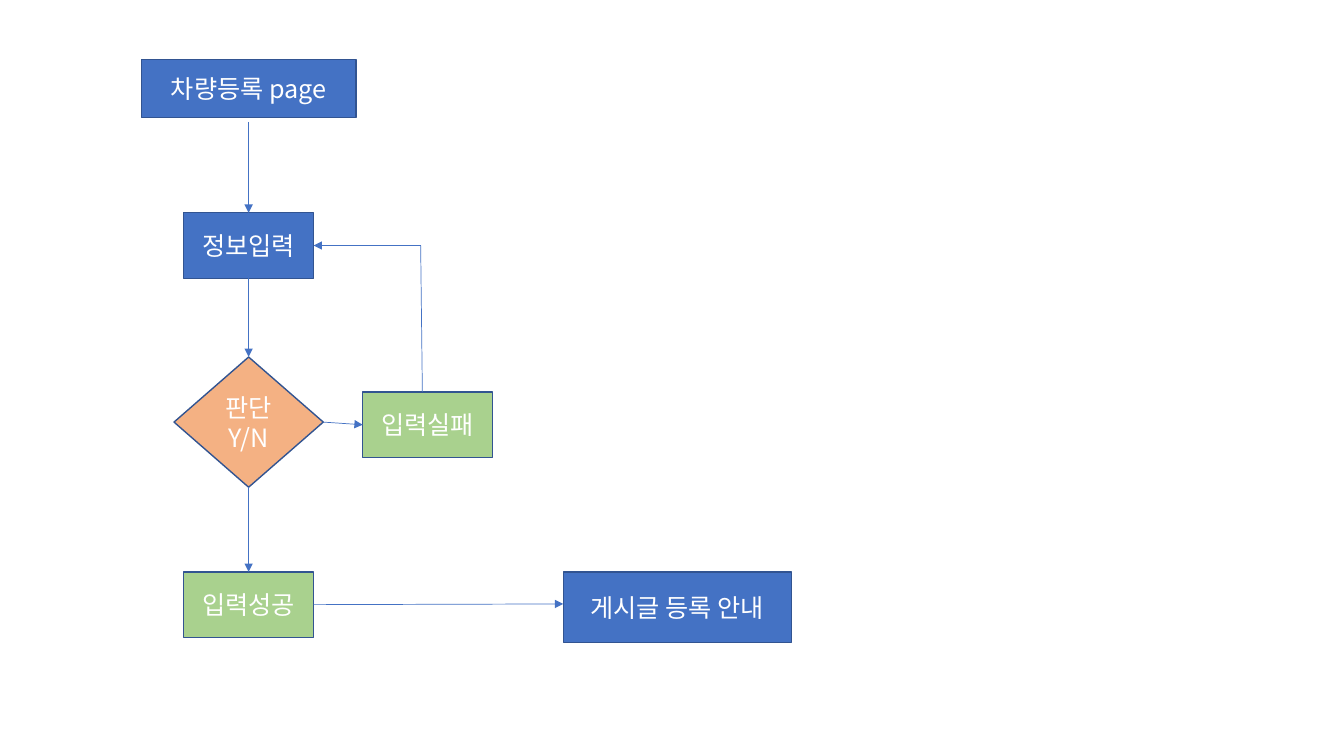
from lxml import etree
from pptx import Presentation
from pptx import util as u
from pptx.dml import color
from pptx.enum import shapes, text
from pptx.oxml import ns

BLUE, GREEN, PEACH = "4472C4", "A9D18E", "F4B183"
EDGE, WHITE = "325491", "FFFFFF"


def paint(tint, code):
    tint.rgb = color.RGBColor.from_string(code)


class Flow:
    font = "Noto Sans CJK KR"
    size = 18

    def __init__(self, slide):
        self.slide = slide

    def node(self, mid, top, wide, high, fill, lines,
             kind=shapes.MSO_SHAPE.RECTANGLE):
        box = self.slide.shapes.add_shape(
            kind, u.Pt(mid - wide / 2), u.Pt(top), u.Pt(wide), u.Pt(high))
        box.shadow.inherit = False
        box.fill.solid()
        paint(box.fill.fore_color, fill)
        paint(box.line.color, EDGE)
        box.line.width = u.Pt(1)
        frame = box.text_frame
        frame.word_wrap = True
        frame.vertical_anchor = text.MSO_ANCHOR.MIDDLE
        for i, line in enumerate(lines):
            para = frame.add_paragraph() if i else frame.paragraphs[0]
            para.alignment = text.PP_ALIGN.CENTER
            self.run(para, line)
        return box

    def run(self, para, words):
        run = para.add_run()
        run.text = words
        run.font.size = u.Pt(self.size)
        run.font.name = self.font
        paint(run.font.color, WHITE)
        east = etree.SubElement(run.font._element, ns.qn("a:ea"))
        east.set("typeface", self.font)

    def line(self, start, end, arrow=True):
        link = self.slide.shapes.add_connector(
            shapes.MSO_CONNECTOR.STRAIGHT, *map(u.Pt, (*start, *end)))
        paint(link.line.color, BLUE)
        link.line.width = u.Pt(0.5)
        if arrow:
            tip = etree.SubElement(link.line._get_or_add_ln(), ns.qn("a:tailEnd"))
            tip.set("type", "triangle")
        etree.SubElement(link._element.spPr, ns.qn("a:effectLst"))


def main():
    deck = Presentation()
    deck.slide_width, deck.slide_height = u.Pt(960), u.Pt(540)
    flow = Flow(deck.slides.add_slide(deck.slide_layouts[6]))

    mid, wide, high = 177.6, 92.8, 46.8
    side = mid + wide / 2
    entry, check, done = 152, 255, 408.5
    tall, span = 93, 106.6
    fail, ftop = 305.5, 280
    bend, back = 300.5, entry + high / 2
    nmid, nwide = 483.8, 162.8
    out = done + high / 2

    flow.node(mid, 42.5, 153.4, 41.4, BLUE, ["차량등록 page"])
    flow.node(mid, entry, wide, high, BLUE, ["정보입력"])
    flow.node(mid, check, span, tall, PEACH, ["판단", "Y/N"],
              shapes.MSO_SHAPE.FLOWCHART_DECISION)
    flow.node(mid, done, wide, high, GREEN, ["입력성공"])
    flow.node(fail, ftop, wide, high, GREEN, ["입력실패"])
    flow.node(nmid, done, nwide, 50.4, BLUE, ["게시글 등록 안내"])

    for start, end in ((87.1, entry), (entry + high, check), (check + tall, done)):
        flow.line((mid, start), (mid, end))
    flow.line((mid + span / 2, check + tall / 2), (fail - wide / 2, ftop + high / 2))
    flow.line((bend, back), (bend + 1.2, ftop), arrow=False)
    flow.line((bend, back), (side, back))
    flow.line((side, out), (nmid - nwide / 2, out - 0.5))

    deck.save("out.pptx")


if __name__ == "__main__":
    main()
